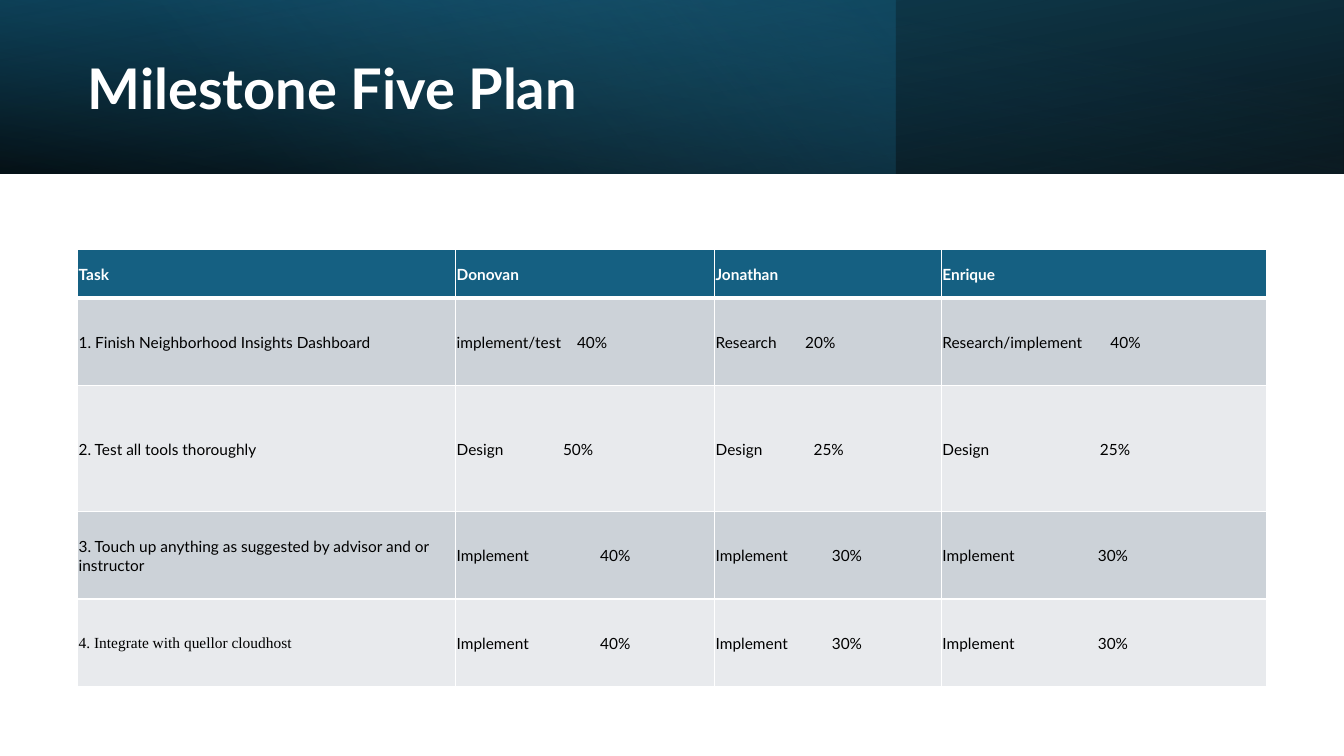
"""Build the Milestone Five Plan slide with its banner and task table."""
from dataclasses import dataclass

from lxml.etree import SubElement
from pptx import Presentation
from pptx.dml.color import RGBColor
from pptx.enum.shapes import MSO_SHAPE
from pptx.enum.text import MSO_ANCHOR, MSO_AUTO_SIZE, PP_ALIGN
from pptx.oxml.ns import qn
from pptx.util import Pt

TITLE = "Milestone Five Plan"
HEADINGS = ["Task", "Donovan", "Jonathan", "Enrique"]
TASKS = [
    ("1. Finish Neighborhood Insights Dashboard",
     [("implement/test", "40%"), ("Research", "20%"), ("Research/implement", "40%")]),
    ("2. Test all tools thoroughly",
     [("Design", "50%"), ("Design", "25%"), ("Design", "25%")]),
    ("3. Touch up anything as suggested by advisor and or instructor",
     [("Implement", "40%"), ("Implement", "30%"), ("Implement", "30%")]),
    ("4. Integrate with quellor cloudhost",
     [("Implement", "40%"), ("Implement", "30%"), ("Implement", "30%")]),
]
SHARE_TABS = [(86, 64, 120), (76, 70, 112.5), (102.5, 83, 111), (102.5, 83, 111)]

SLIDE_SIZE = (960, 540)
BANNER_HEIGHT = 124
TITLE_BOX = (55.5, 19.5, 556, 91.5)
TABLE_ORIGIN = (55.5, 178)
COLUMN_WIDTHS = [270, 185, 162, 232]
ROW_HEIGHTS = [35, 62.5, 90, 62.5, 62.5]


@dataclass(frozen=True)
class Theme:
    font: str = "Lato"
    serif: str = "Times New Roman"
    title_size: float = 40
    table_size: float = 11
    white: str = "FFFFFF"
    black: str = "000000"
    accent: str = "156082"
    deep: str = "104862"
    sky: str = "46B1E1"
    bands: tuple = ("CCD2D8", "E8EAED")
    rule: float = 1
    header_rule: float = 3


THEME = Theme()
BANNER = [
    dict(width=960, stops=[(0, THEME.black, 96), (100, THEME.deep, 100)],
         angle=100, rotation=180, flip=True),
    dict(width=640, stops=[(0, THEME.accent, 41), (74, THEME.sky, 0)],
         angle=140, rotation=0, flip=False),
    dict(width=960, stops=[(0, THEME.black, 63), (78, THEME.accent, 15)],
         angle=260, rotation=0, flip=True),
]


def apply_format(target, values):
    for name, value in values.items():
        setattr(target, name, value)


def style_text(para, text, size, color, bold, font=THEME.font):
    span = para.add_run()
    span.text = text
    apply_format(span.font, dict(name=font, size=Pt(size), bold=bold))
    span.font.color.rgb = RGBColor.from_string(color)


def add_color(parent, color, opacity=100):
    node = SubElement(parent, qn("a:srgbClr"), val=color)
    if opacity < 100:
        SubElement(node, qn("a:alpha"), val=str(opacity * 1000))


def add_banner_layer(page, width, stops, angle, rotation, flip):
    layer = page.shapes.add_shape(MSO_SHAPE.RECTANGLE, 0, 0, Pt(width), Pt(BANNER_HEIGHT))
    layer.shadow.inherit = False
    layer.line.fill.background()
    layer.rotation = rotation
    properties = layer._element.spPr
    if flip:
        properties.find(qn("a:xfrm")).set("flipH", "1")
    layer.fill.gradient()
    gradient = properties.find(qn("a:gradFill"))
    for child in list(gradient):
        gradient.remove(child)
    gradient.set("rotWithShape", "1")
    stop_list = SubElement(gradient, qn("a:gsLst"))
    for position, color, opacity in stops:
        stop = SubElement(stop_list, qn("a:gs"), pos=str(position * 1000))
        add_color(stop, color, opacity)
    SubElement(gradient, qn("a:lin"), ang=str(angle * 60000), scaled="0")


def add_title(page):
    title = page.shapes.title
    page.shapes._spTree.append(title._element)
    left, top, width, height = map(Pt, TITLE_BOX)
    apply_format(title, dict(left=left, top=top, width=width, height=height))
    apply_format(title.text_frame, dict(
        vertical_anchor=MSO_ANCHOR.MIDDLE, word_wrap=True, auto_size=MSO_AUTO_SIZE.NONE))
    para = title.text_frame.paragraphs[0]
    apply_format(para, dict(alignment=PP_ALIGN.LEFT, line_spacing=0.9))
    style_text(para, TITLE, THEME.title_size, THEME.white, True)


def format_cell(cell, row):
    apply_format(cell, dict(
        vertical_anchor=MSO_ANCHOR.MIDDLE, margin_left=Pt(0.7), margin_right=Pt(0.7),
        margin_top=Pt(0.7), margin_bottom=0))
    widths = dict(lnL=THEME.rule, lnR=THEME.rule,
                  lnT=THEME.header_rule if row == 1 else THEME.rule,
                  lnB=THEME.header_rule if row == 0 else THEME.rule)
    for side, width in widths.items():
        border = SubElement(cell._tc.get_or_add_tcPr(), qn(f"a:{side}"), w=str(Pt(width)))
        add_color(SubElement(border, qn("a:solidFill")), THEME.white)
    cell.fill.solid()
    color = THEME.bands[(row - 1) % 2] if row else THEME.accent
    cell.fill.fore_color.rgb = RGBColor.from_string(color)


def add_tab_stop(para, position):
    stops = SubElement(para._p.get_or_add_pPr(), qn("a:tabLst"))
    SubElement(stops, qn("a:tab"), pos=str(Pt(position)), algn="l")


def add_task_table(page):
    size = (sum(COLUMN_WIDTHS), sum(ROW_HEIGHTS))
    table = page.shapes.add_table(
        len(ROW_HEIGHTS), len(COLUMN_WIDTHS), *map(Pt, TABLE_ORIGIN + size)).table
    table.horz_banding = False
    for column, width in zip(table.columns, COLUMN_WIDTHS):
        column.width = Pt(width)
    for line, height in zip(table.rows, ROW_HEIGHTS):
        line.height = Pt(height)
    rows = [HEADINGS] + [[task] + ["\t".join(share) for share in shares]
                         for task, shares in TASKS]
    for row, texts in enumerate(rows):
        for column, text in enumerate(texts):
            cell = table.cell(row, column)
            format_cell(cell, row)
            para = cell.text_frame.paragraphs[0]
            if row and column:
                add_tab_stop(para, SHARE_TABS[row - 1][column - 1])
            last_task = row == len(TASKS) and column == 0
            style_text(para, text, THEME.table_size,
                       THEME.black if row else THEME.white, row == 0,
                       THEME.serif if last_task else THEME.font)


def main():
    deck = Presentation()
    deck.slide_width, deck.slide_height = map(Pt, SLIDE_SIZE)
    page = deck.slides.add_slide(deck.slide_layouts[5])
    for layer in BANNER:
        add_banner_layer(page, **layer)
    add_title(page)
    add_task_table(page)
    deck.save("out.pptx")


if __name__ == "__main__":
    main()
